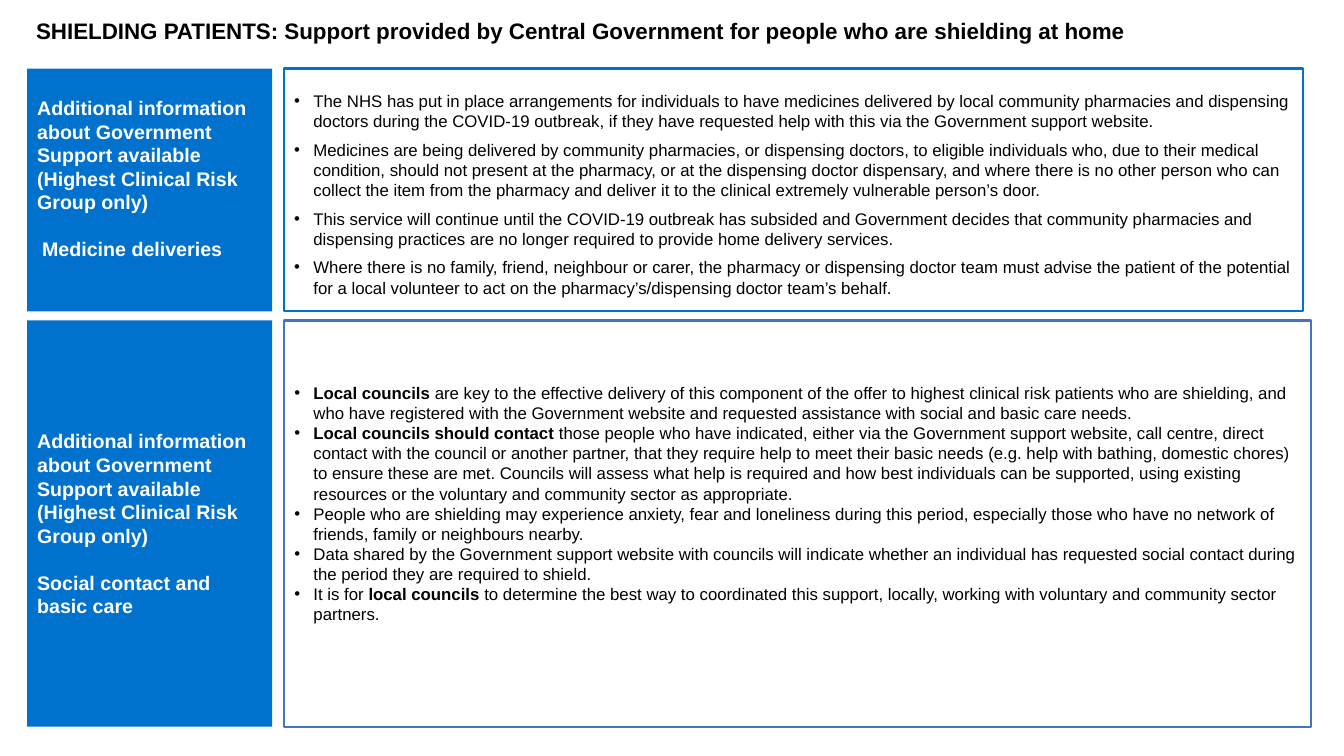
from pptx import Presentation
from pptx.dml.color import RGBColor
from pptx.enum.shapes import MSO_SHAPE
from pptx.enum.text import MSO_ANCHOR, PP_ALIGN
from pptx.oxml.ns import qn
from pptx.util import Inches, Pt
from lxml.etree import SubElement

COLOURS = {"black": "000000", "white": "FFFFFF", "blue": "0072CE", "outline": "4472C4"}
FONT = "Arial"

HEADING = "SHIELDING PATIENTS: Support provided by Central Government for people who are shielding at home"
AUDIENCE = "Additional information about Government Support available (Highest Clinical Risk Group only)"

# Each bullet is a list of (text, bold) runs
MEDICINE_BULLETS = [
    [("The NHS has put in place arrangements for individuals to have medicines delivered by local community pharmacies and dispensing doctors during the COVID-19 outbreak, if they have requested help with this via the Government support website.", False)],
    [("Medicines are being delivered by community pharmacies, or dispensing doctors, to eligible individuals who, due to their medical condition, should not present at the pharmacy, or at the dispensing doctor dispensary, and where there is no other person who can collect the item from the pharmacy and deliver it to the clinical extremely vulnerable person’s door.", False)],
    [("This service will continue until the COVID-19 outbreak has subsided and Government decides that community pharmacies and dispensing practices are no longer required to provide home delivery services.", False)],
    [("Where there is no family, friend, neighbour or carer, the pharmacy or dispensing doctor team must advise the patient of the potential for a local volunteer to act on the pharmacy’s/dispensing doctor team’s behalf.", False)],
]
CARE_BULLETS = [
    [("Local councils ", True),
     ("are key to the effective delivery of this component of the offer to highest clinical risk patients who are shielding, and who have registered with the Government website and requested assistance with social and basic care needs.", False)],
    [("Local councils should contact", True),
     (" those people who have indicated, either via the Government support website, call centre, direct contact with the council or another partner, that they require help to meet their basic needs (e.g. help with bathing, domestic chores) to ensure these are met. Councils will assess what help is required and how best individuals can be supported, using existing resources or the voluntary and community sector as appropriate.", False)],
    [("People who are shielding may experience anxiety, fear and loneliness during this period, especially those who have no network of friends, family or neighbours nearby.", False)],
    [("Data shared by the Government support website with councils will indicate whether an individual has requested social contact during the period they are required to shield.", False)],
    [("It is for ", False), ("local councils", True),
     (" to determine the best way to coordinated this support, locally, working with voluntary and community sector partners.", False)],
]


def colour(name):
    return RGBColor.from_string(COLOURS[name])


def add_run(paragraph, text, size, ink, bold):
    run = paragraph.add_run()
    run.text = text
    run.font.name = FONT
    run.font.size = Pt(size)
    run.font.bold = bold
    run.font.color.rgb = colour(ink)


def add_paragraph(frame, index):
    paragraph = frame.paragraphs[0] if index == 0 else frame.add_paragraph()
    paragraph.alignment = PP_ALIGN.LEFT
    return paragraph


def set_indent(paragraph, left, first=0):
    properties = paragraph._p.get_or_add_pPr()
    properties.set("marL", str(Inches(left)))
    properties.set("indent", str(Inches(first)))
    return properties


def add_panel(slide, left, top, width, height, fill=None, line=None):
    panel = slide.shapes.add_shape(
        MSO_SHAPE.RECTANGLE, Inches(left), Inches(top), Inches(width), Inches(height))
    panel.shadow.inherit = False
    if fill:
        panel.fill.solid()
        panel.fill.fore_color.rgb = colour(fill)
    else:
        panel.fill.background()
    if line:
        panel.line.color.rgb = colour(line)
        panel.line.width = Pt(1.5)
    else:
        panel.line.fill.background()
    panel.text_frame.word_wrap = True
    return panel.text_frame


def add_heading(slide, left, top, width, height):
    frame = slide.shapes.add_textbox(
        Inches(left), Inches(top), Inches(width), Inches(height)).text_frame
    frame.word_wrap = True
    frame.vertical_anchor = MSO_ANCHOR.MIDDLE
    add_run(add_paragraph(frame, 0), HEADING, 16, "black", True)


def add_label(slide, left, top, width, height, topic, topic_indent, bottom_inset):
    frame = add_panel(slide, left, top, width, height, fill="blue")
    frame.vertical_anchor = MSO_ANCHOR.MIDDLE
    frame.margin_bottom = Inches(bottom_inset)
    add_run(add_paragraph(frame, 0), AUDIENCE, 14, "white", True)
    topic_line = add_paragraph(frame, 1)
    set_indent(topic_line, topic_indent)
    topic_line.space_before = Pt(17)
    add_run(topic_line, topic, 14, "white", True)


def add_details(slide, left, top, width, height, bullets, line, anchor, insets, gap):
    frame = add_panel(slide, left, top, width, height, line=line)
    frame.vertical_anchor = anchor
    frame.margin_top, frame.margin_bottom = (Inches(inset) for inset in insets)
    for index, runs in enumerate(bullets):
        paragraph = add_paragraph(frame, index)
        properties = set_indent(paragraph, 0.19, -0.19)
        paragraph.space_after = Pt(gap)
        SubElement(properties, qn("a:buFont")).set("typeface", FONT)
        SubElement(properties, qn("a:buChar")).set("char", "•")
        for text, bold in runs:
            add_run(paragraph, text, 12, "black", bold)


def main():
    deck = Presentation()
    deck.slide_width, deck.slide_height = Inches(13.33), Inches(7.5)
    slide = deck.slides.add_slide(deck.slide_layouts[6])

    add_heading(slide, 0.26, 0.09, 11.3, 0.42)

    label_left, label_width, details_left = 0.27, 2.43, 2.82

    # Medicine deliveries
    top, height = 0.68, 2.41
    add_label(slide, label_left, top, label_width, height, "Medicine deliveries", 0.05, 0.28)
    add_details(slide, details_left, top, 10.1, height, MEDICINE_BULLETS,
                "blue", MSO_ANCHOR.TOP, (0.22, 0.05), 6)

    # Social contact and basic care
    top, height = 3.18, 4.03
    add_label(slide, label_left, top, label_width, height, "Social contact and basic care", 0, 0.05)
    add_details(slide, details_left, top, 10.18, height, CARE_BULLETS,
                "outline", MSO_ANCHOR.MIDDLE, (0.05, 0.45), 0)

    deck.save("out.pptx")


if __name__ == "__main__":
    main()
